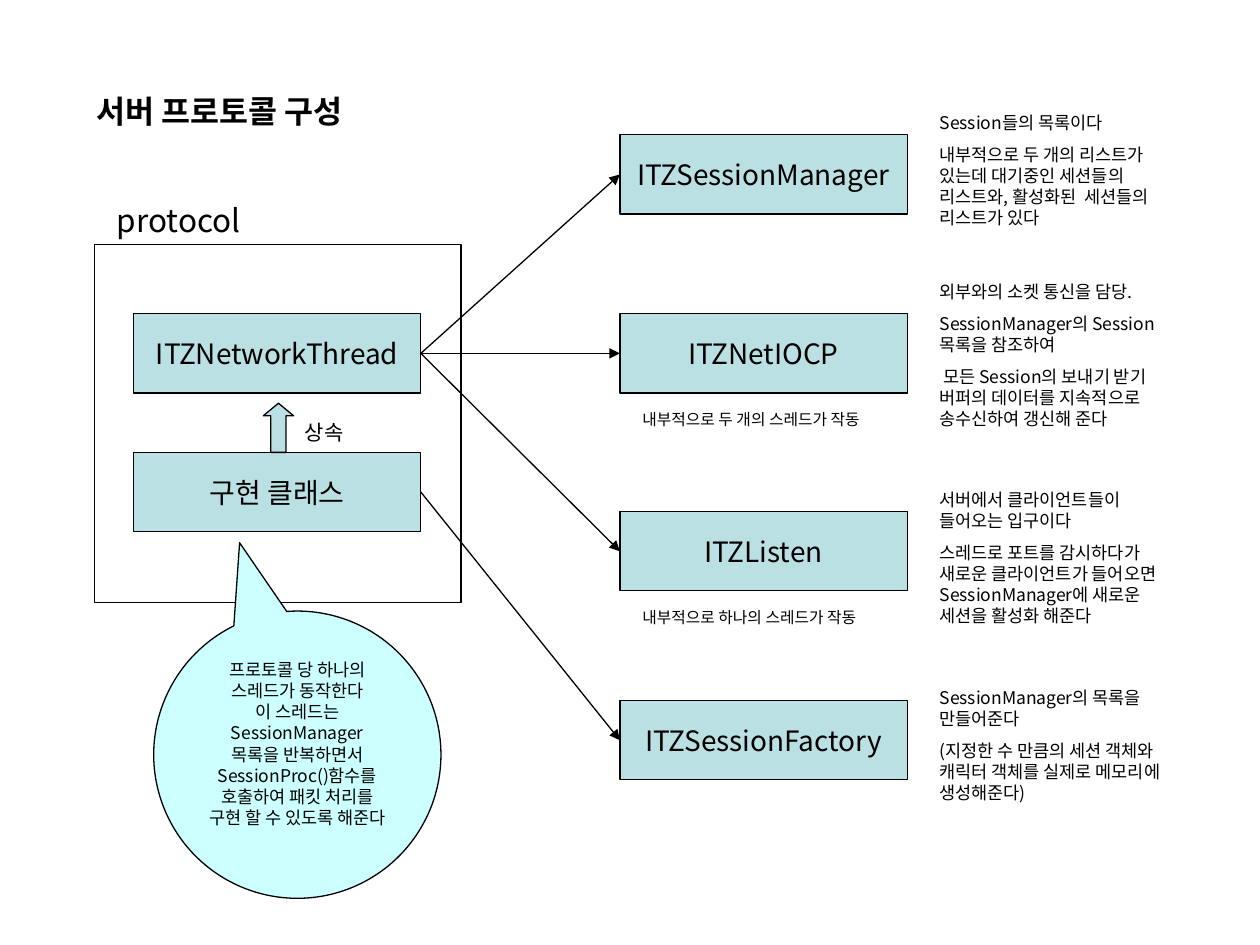
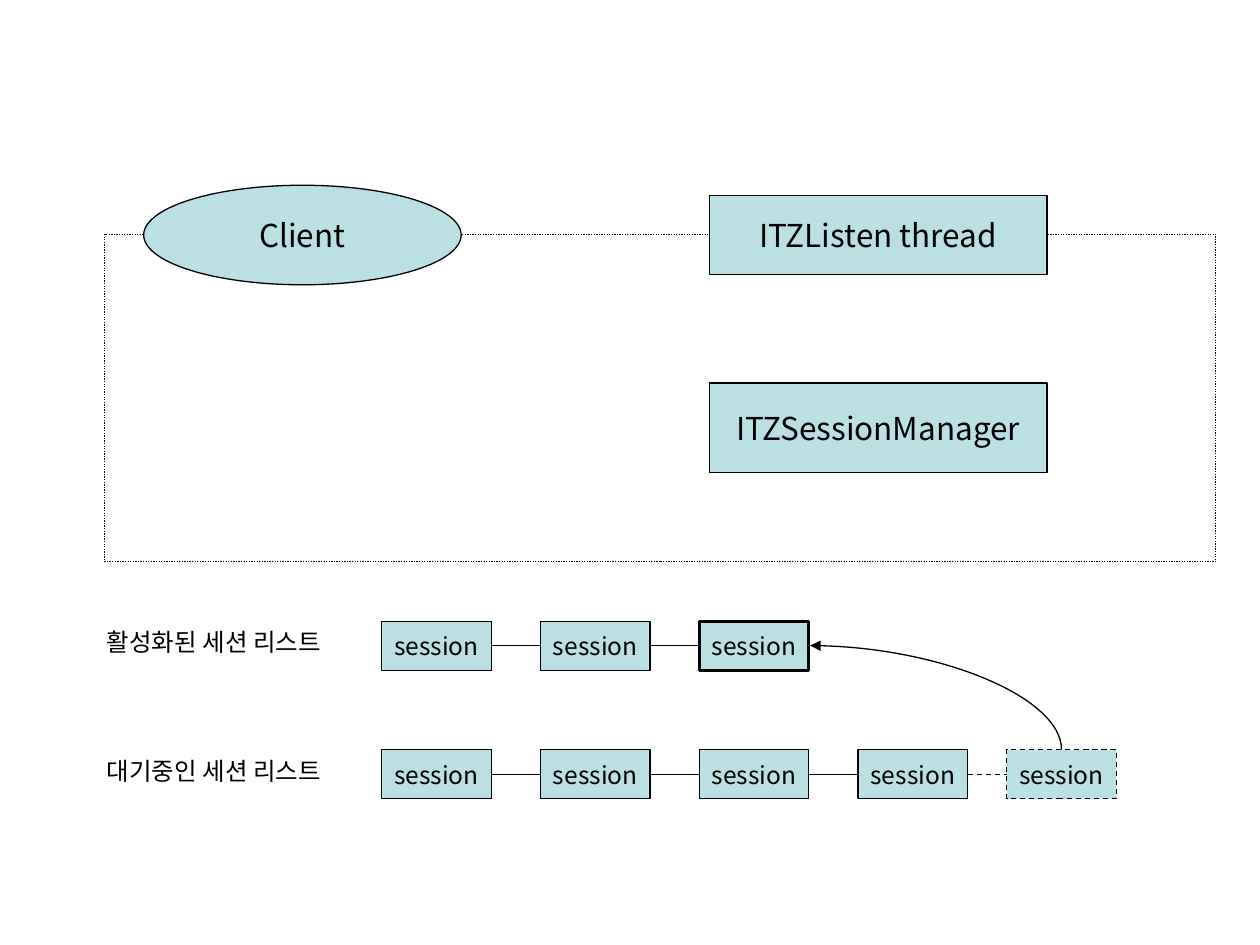
from dataclasses import dataclass

from pptx import Presentation
from pptx.dml.color import RGBColor
from pptx.enum.dml import MSO_LINE
from pptx.enum.shapes import MSO_CONNECTOR, MSO_SHAPE
from pptx.enum.text import MSO_ANCHOR, MSO_AUTO_SIZE, PP_ALIGN
from pptx.oxml.ns import qn
from pptx.util import Inches, Pt
from lxml import etree

RECTANGLE = MSO_SHAPE.RECTANGLE
OVAL = MSO_SHAPE.OVAL
UP_ARROW = MSO_SHAPE.UP_ARROW
CALLOUT = MSO_SHAPE.OVAL_CALLOUT
STRAIGHT = MSO_CONNECTOR.STRAIGHT
CURVE = MSO_CONNECTOR.CURVE
DASH = MSO_LINE.DASH
DOTS = MSO_LINE.ROUND_DOT  # written as sysDot
CENTER = PP_ALIGN.CENTER
LEFT_SITE, RIGHT_SITE = 1, 3  # connection sites of a rectangle


@dataclass(frozen=True)
class Theme:
    font: str = "Noto Sans CJK KR"
    ink: RGBColor = RGBColor(0, 0, 0)
    box_fill: RGBColor = RGBColor(0xBB, 0xE0, 0xE3)
    callout_fill: RGBColor = RGBColor(0xCC, 0xFF, 0xFF)
    heading: int = 18
    class_name: int = 16
    session: int = 14
    label: int = 12
    body: int = 10
    caption: int = 9
    thin: float = 0.75
    thick: float = 1.75


THEME = Theme()


@dataclass(frozen=True)
class Box:
    left: float
    top: float
    width: float
    height: float

    def inner(self, left, top, width, height):
        """Return a box placed from this box's top left corner."""
        return Box(self.left + left, self.top + top, width, height)

    def inches(self):
        return [Inches(v) for v in (self.left, self.top, self.width, self.height)]


# Shared drawing parts

def write(text_frame, paragraphs, size, alignment=None, bold=False, gap=0):
    text_frame.text = "\n".join(paragraphs)
    for index, paragraph in enumerate(text_frame.paragraphs):
        paragraph.alignment = alignment
        if index and gap:
            paragraph.space_before = Pt(gap)
        for run in paragraph.runs:
            run.font.name = THEME.font
            run.font.size = Pt(size)
            run.font.bold = bold
            run.font.color.rgb = THEME.ink
            east_asian = etree.SubElement(run.font._element, qn("a:ea"))
            east_asian.set("typeface", THEME.font)


def add_text(slide, box, paragraphs, size, **options):
    text_frame = slide.shapes.add_textbox(*box.inches()).text_frame
    text_frame.word_wrap = True
    text_frame.auto_size = MSO_AUTO_SIZE.SHAPE_TO_FIT_TEXT
    write(text_frame, paragraphs, size, **options)


def style_line(line, weight=THEME.thin, dash=None):
    line.color.rgb = THEME.ink
    line.width = Pt(weight)
    if dash:
        line.dash_style = dash


def add_outline(slide, kind, box, fill=None, **line_style):
    shape = slide.shapes.add_shape(kind, *box.inches())
    shape.shadow.inherit = False
    if fill is None:
        shape.fill.background()
    else:
        shape.fill.solid()
        shape.fill.fore_color.rgb = fill
    style_line(shape.line, **line_style)
    return shape


def add_node(slide, box, name, size, kind=RECTANGLE, **line_style):
    shape = add_outline(slide, kind, box, THEME.box_fill, **line_style)
    shape.text_frame.word_wrap = False
    shape.text_frame.vertical_anchor = MSO_ANCHOR.MIDDLE
    write(shape.text_frame, [name], size, alignment=CENTER)
    return shape


def finish_connector(connector, arrow=False, dash=None):
    style_line(connector.line, dash=dash)
    properties = connector._element.spPr
    if arrow:
        tail = etree.SubElement(connector.line._get_or_add_ln(), qn("a:tailEnd"))
        tail.set("type", "triangle")
    etree.SubElement(properties, qn("a:effectLst"))


def join(slide, source, target, **options):
    """Link the right side of one node to the left side of another."""
    connector = slide.shapes.add_connector(STRAIGHT, 0, 0, 0, 0)
    connector.begin_connect(source, RIGHT_SITE)
    connector.end_connect(target, LEFT_SITE)
    finish_connector(connector, **options)


def add_rising_curve(slide, start, end):
    """Draw a quarter curve that leaves upwards and arrives leftwards."""
    (start_x, start_y), (end_x, end_y) = start, end
    center_x, center_y = (start_x + end_x) / 2, (start_y + end_y) / 2
    half_width, half_height = (start_y - end_y) / 2, (start_x - end_x) / 2
    connector = slide.shapes.add_connector(
        CURVE,
        Inches(center_x - half_width), Inches(center_y + half_height),
        Inches(center_x + half_width), Inches(center_y - half_height))
    properties = connector._element.spPr
    properties.find(qn("a:xfrm")).set("rot", str(270 * 60000))
    properties.find(qn("a:prstGeom")).set("prst", "curvedConnector2")
    finish_connector(connector, arrow=True)


# Slide 1: server protocol structure

NODE_WIDTH, NODE_HEIGHT = 2.28, 0.63

# name, top, caption, description offset from the node, description
COMPONENTS = [
    ("ITZSessionManager", 1.07, None, -0.23, [
        "Session들의 목록이다",
        "내부적으로 두 개의 리스트가 있는데 대기중인 세션들의 리스트와, "
        "활성화된  세션들의 리스트가 있다"]),
    ("ITZNetIOCP", 2.49, "내부적으로 두 개의 스레드가 작동", -0.31, [
        "외부와의 소켓 통신을 담당.",
        "SessionManager의 Session목록을 참조하여",
        " 모든 Session의 보내기 받기 버퍼의 데이터를 지속적으로 "
        "송수신하여 갱신해 준다"]),
    ("ITZListen", 4.06, "내부적으로 하나의 스레드가 작동", -0.23, [
        "서버에서 클라이언트들이 들어오는 입구이다",
        "스레드로 포트를 감시하다가 새로운 클라이언트가 들어오면 "
        "SessionManager에 새로운 세션을 활성화 해준다"]),
    ("ITZSessionFactory", 5.56, None, -0.16, [
        "SessionManager의 목록을 만들어준다",
        "(지정한 수 만큼의 세션 객체와 캐릭터 객체를 실제로 메모리에 "
        "생성해준다)"]),
]

THREAD_NOTE = [
    "프로토콜 당 하나의 스레드가 동작한다",
    "이 스레드는 SessionManager목록을 반복하면서",
    "SessionProc()함수를 호출하여 패킷 처리를 구현 할 수 있도록 해준다",
]


def add_protocol_panel(slide, box):
    """Draw the protocol frame and return its two class nodes."""
    add_outline(slide, RECTANGLE, box)
    add_text(slide, box.inner(0.08, -0.39, 2.05, 0.4), ["protocol"], THEME.heading)
    thread, implementation = [
        add_node(slide, box.inner(0.31, top, NODE_WIDTH, NODE_HEIGHT),
                 name, THEME.class_name)
        for name, top in (("ITZNetworkThread", 0.55), ("구현 클래스", 1.65))]

    # Inheritance arrow
    arrow = add_outline(slide, UP_ARROW, box.inner(1.34, 1.26, 0.24, 0.39),
                        THEME.box_fill)
    arrow.adjustments[1] = 0.415
    add_text(slide, box.inner(1.57, 1.34, 0.71, 0.3), ["상속"], THEME.label)
    return thread, implementation


def add_component(slide, box, name, caption, text_offset, description):
    node = add_node(slide, box, name, THEME.class_name)
    if caption:
        add_text(slide, box.inner(0.08, 0.71, 2.13, 0.25), [caption], THEME.caption)
    add_text(slide, box.inner(2.44, text_offset, 2.05, 1.02), description,
             THEME.body, gap=6.2)
    return node


def add_thread_callout(slide, box):
    callout = add_outline(slide, CALLOUT, box, THEME.callout_fill)
    callout.adjustments[0] = -0.201
    callout.adjustments[1] = -0.738
    callout.text_frame.word_wrap = True
    callout.text_frame.vertical_anchor = MSO_ANCHOR.TOP
    write(callout.text_frame, THREAD_NOTE, THEME.body, alignment=CENTER)


def build_protocol_slide(slide):
    add_text(slide, Box(0.67, 0.68, 3.23, 0.4), ["서버 프로토콜 구성"],
             THEME.heading, bold=True)
    thread, implementation = add_protocol_panel(slide, Box(0.75, 1.94, 2.91, 2.84))
    for name, top, *details in COMPONENTS:
        box = Box(4.92, top, NODE_WIDTH, NODE_HEIGHT)
        component = add_component(slide, box, name, *details)
        source = implementation if name == "ITZSessionFactory" else thread
        join(slide, source, component, arrow=True)
    add_thread_callout(slide, Box(1.22, 4.85, 2.28, 2.28))


# Slide 2: session lists

SESSION_WIDTH, SESSION_HEIGHT, SESSION_PITCH = 0.87, 0.39, 1.26
FIRST_SESSION = 2.28


def add_listen_panel(slide, box):
    add_outline(slide, RECTANGLE, box, dash=DOTS)
    add_node(slide, box.inner(0.31, -0.39, 2.52, 0.79), "Client",
             THEME.heading, kind=OVAL)
    for name, top, height in (("ITZListen thread", -0.31, 0.63),
                              ("ITZSessionManager", 1.18, 0.71)):
        add_node(slide, box.inner(4.8, top, 2.68, height), name, THEME.heading)


def add_session(slide, row, left, **line_style):
    box = row.inner(left, 0, SESSION_WIDTH, SESSION_HEIGHT)
    return add_node(slide, box, "session", THEME.session, **line_style)


def add_session_row(slide, row, label, count):
    """Draw a labelled chain of sessions and return its nodes."""
    add_text(slide, row.inner(0, 0, 2.2, 0.34), [label], THEME.session)
    sessions = [add_session(slide, row, FIRST_SESSION + index * SESSION_PITCH)
                for index in range(count)]
    for source, target in zip(sessions, sessions[1:]):
        join(slide, source, target)
    return sessions


def build_session_slide(slide):
    add_listen_panel(slide, Box(0.83, 1.86, 8.82, 2.6))
    active_row = Box(0.75, 4.93, 8.11, SESSION_HEIGHT)
    waiting_row = Box(0.75, 5.95, 8.11, SESSION_HEIGHT)
    active = add_session_row(slide, active_row, "활성화된 세션 리스트", 3)
    waiting = add_session_row(slide, waiting_row, "대기중인 세션 리스트", 4)

    # The session that leaves the waiting list for the active list
    style_line(active[-1].line, weight=THEME.thick)
    leaving_left = waiting_row.width - SESSION_WIDTH
    leaving = add_session(slide, waiting_row, leaving_left, dash=DASH)
    join(slide, waiting[-1], leaving, dash=DASH)
    leaving_top = (waiting_row.left + leaving_left + SESSION_WIDTH / 2,
                   waiting_row.top)
    active_end = (active_row.left + FIRST_SESSION + 2 * SESSION_PITCH
                  + SESSION_WIDTH + 0.01, active_row.top + SESSION_HEIGHT / 2)
    add_rising_curve(slide, leaving_top, active_end)


def main():
    presentation = Presentation()
    presentation.slide_width = Inches(10)
    presentation.slide_height = Inches(7.5)
    blank_layout = presentation.slide_layouts[6]
    for build in (build_protocol_slide, build_session_slide):
        build(presentation.slides.add_slide(blank_layout))
    presentation.save("out.pptx")


if __name__ == "__main__":
    main()
